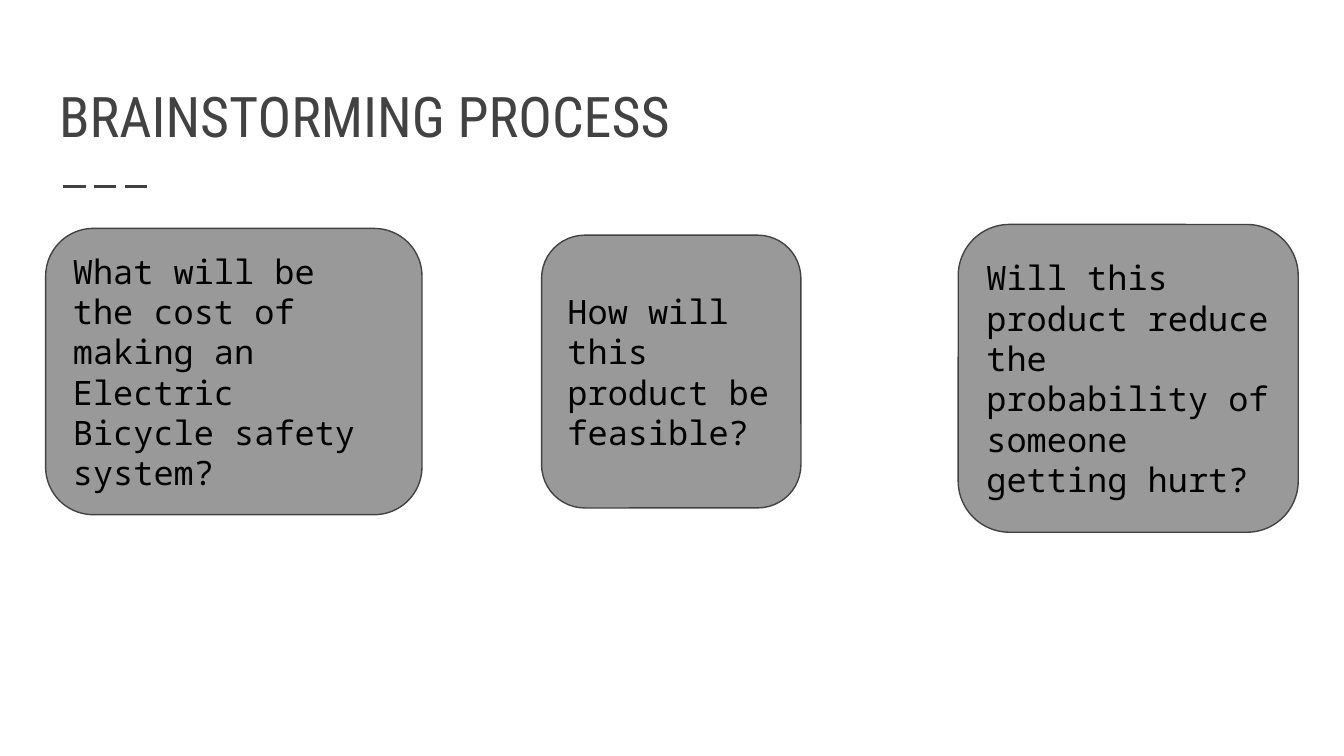
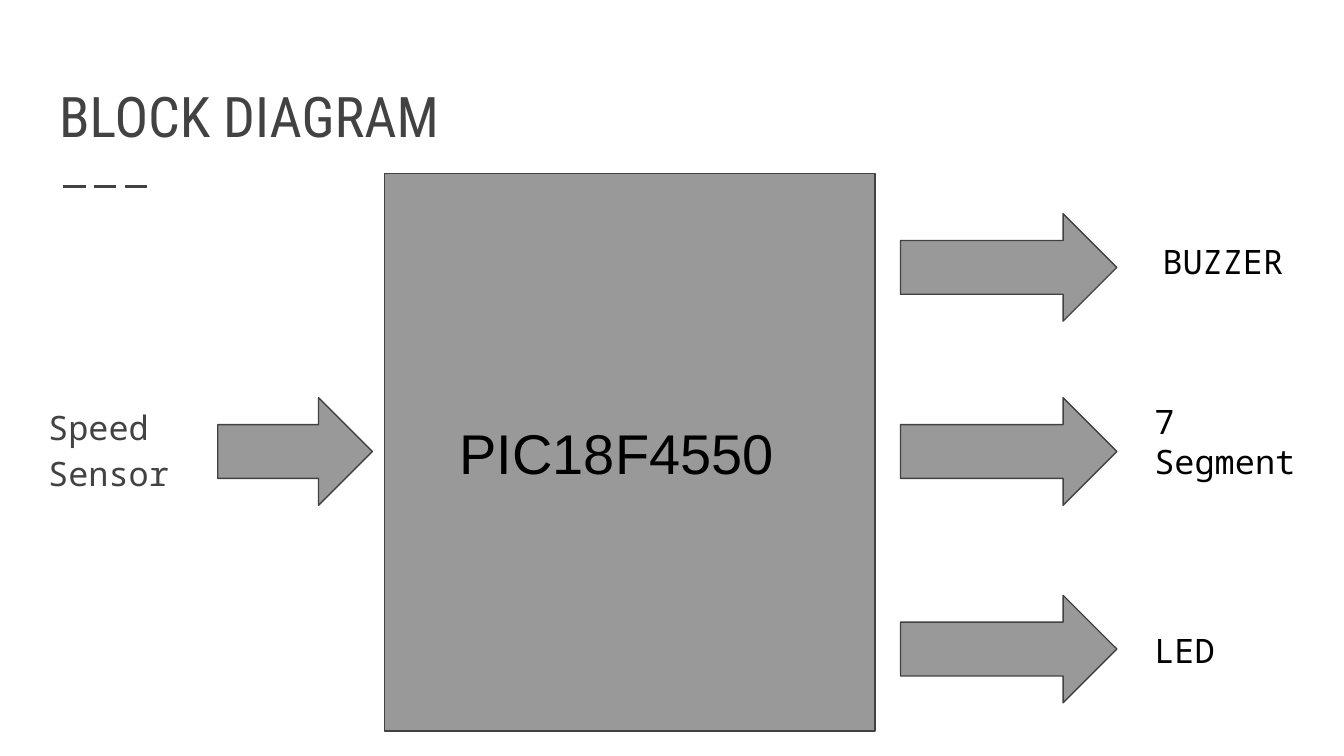
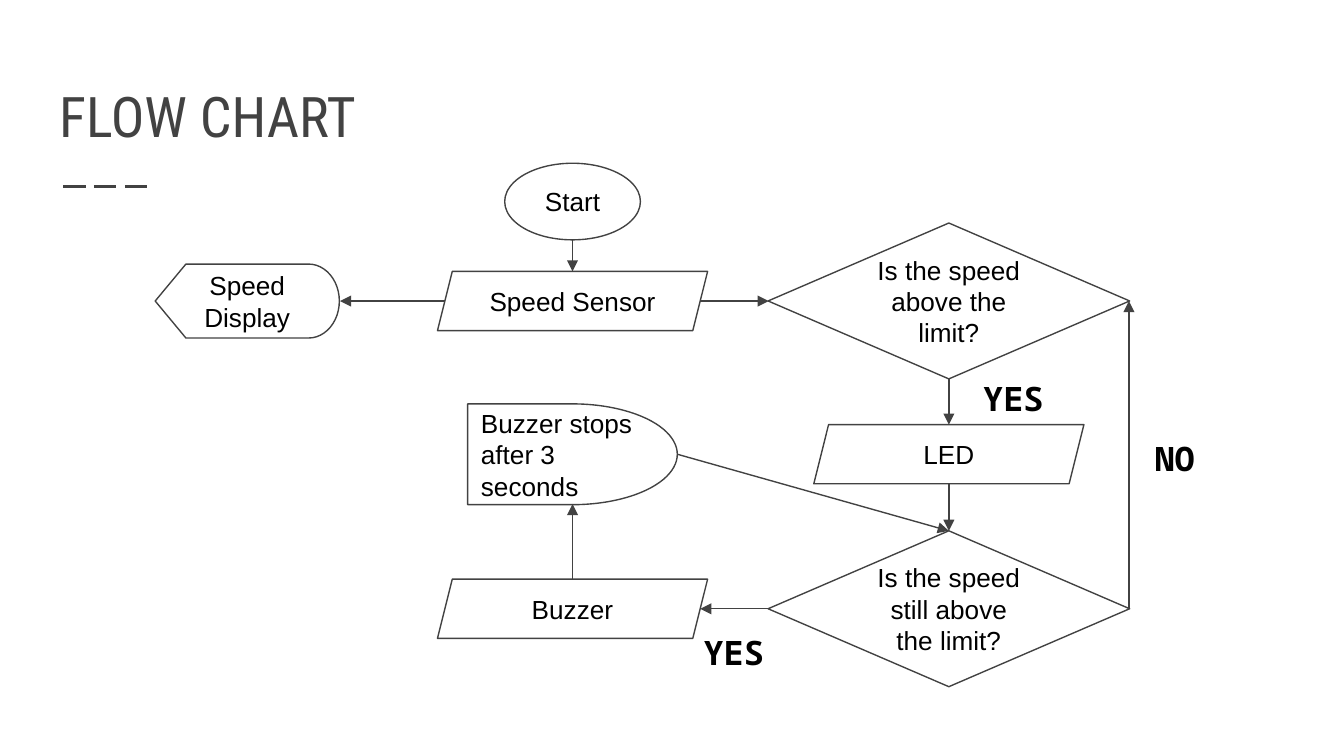
from lxml import etree
from pptx import Presentation
from pptx.dml.color import RGBColor
from pptx.enum.dml import MSO_LINE
from pptx.enum.shapes import MSO_CONNECTOR, MSO_SHAPE
from pptx.enum.text import MSO_ANCHOR, MSO_AUTO_SIZE, PP_ALIGN
from pptx.oxml.ns import qn
from pptx.util import Inches, Pt

COLORS = {"ink": "424242", "gray": "999999", "text": "000000", "paper": "FFFFFF"}
SANS, MONO, HEADING = "Arial", "Noto Sans Mono", "Roboto Condensed"

STRAIGHT = MSO_CONNECTOR.STRAIGHT
LONG_DASH = MSO_LINE.LONG_DASH
TOP, MIDDLE, BOTTOM = MSO_ANCHOR.TOP, MSO_ANCHOR.MIDDLE, MSO_ANCHOR.BOTTOM
LEFT, CENTER = PP_ALIGN.LEFT, PP_ALIGN.CENTER
NO_FIT = MSO_AUTO_SIZE.NONE
ROUNDED, RECT = MSO_SHAPE.ROUNDED_RECTANGLE, MSO_SHAPE.RECTANGLE
RIGHT_ARROW, OVAL = MSO_SHAPE.RIGHT_ARROW, MSO_SHAPE.OVAL
DIAMOND, SLANTED = MSO_SHAPE.DIAMOND, MSO_SHAPE.PARALLELOGRAM
DISPLAY, DELAY = MSO_SHAPE.FLOWCHART_DISPLAY, MSO_SHAPE.FLOWCHART_DELAY


def color(name):
    return RGBColor.from_string(COLORS[name])


def write(shape, text, size, font, ink="text", align=LEFT, anchor=MIDDLE, bold=False):
    tf = shape.text_frame
    tf.word_wrap = True
    tf.auto_size = NO_FIT
    tf.vertical_anchor = anchor
    tf.margin_left = tf.margin_right = tf.margin_top = tf.margin_bottom = Inches(0.1)
    p = tf.paragraphs[0]
    p.alignment = align
    r = p.add_run()
    r.text = text
    r.font.size = Pt(size)
    r.font.name = font
    r.font.bold = bold
    r.font.color.rgb = color(ink)
    return p


def add_line(s, start, end, width=0.75):
    line = s.shapes.add_connector(STRAIGHT, *map(Inches, start + end))
    line.line.color.rgb = color("ink")
    line.line.width = Pt(width)
    etree.SubElement(line._element.spPr, qn("a:effectLst"))
    return line


def add_arrow(s, start, end):
    ln = add_line(s, start, end).line._get_or_add_ln()
    etree.SubElement(ln, qn("a:tailEnd"), type="triangle")


def add_slide(prs, title):
    s = prs.slides.add_slide(prs.slide_layouts[5])
    s.background.fill.solid()
    s.background.fill.fore_color.rgb = color("paper")
    add_line(s, (0.47, 1.39), (1.14, 1.39), 1.5).line.dash_style = LONG_DASH
    box = s.shapes.title
    box.left, box.top, box.width, box.height = map(Inches, (0.34, 0.41, 9.32, 0.8))
    write(box, title, 30, HEADING, "ink", anchor=BOTTOM)
    return s


def add_block(s, kind, left, top, width, height, fill="gray"):
    sp = s.shapes.add_shape(kind, *map(Inches, (left, top, width, height)))
    sp.shadow.inherit = False
    if fill:
        sp.fill.solid()
        sp.fill.fore_color.rgb = color(fill)
    else:
        sp.fill.background()
    sp.line.color.rgb = color("ink")
    sp.line.width = Pt(0.75)
    return sp


def add_node(s, kind, center, size, text, align=CENTER):
    (x, y), (width, height) = center, size
    sp = add_block(s, kind, x - width / 2, y - height / 2, width, height, None)
    write(sp, text, 14, SANS, align=align)


def add_label(s, left, top, width, height, text, ink="text", align=LEFT, bold=False):
    box = s.shapes.add_textbox(*map(Inches, (left, top, width, height)))
    return write(box, text, 18, MONO, ink, align, TOP, bold)


def brainstorming(prs):
    s = add_slide(prs, "BRAINSTORMING PROCESS")
    questions = [
        (0.34, 1.7, 2.8, 2.13, "What will be the cost of making an Electric Bicycle safety system?"),
        (4.03, 1.75, 1.93, 2.03, "How will this product be feasible?"),
        (7.13, 1.67, 2.53, 2.29, "Will this product reduce the probability of someone getting hurt?"),
    ]
    for *place, question in questions:
        write(add_block(s, ROUNDED, *place), question, 18, MONO)


def block_diagram(prs):
    s = add_slide(prs, "BLOCK DIAGRAM")
    p = add_label(s, 0.26, 2.88, 1.27, 0.96, "Speed Sensor", "ink")
    p.line_spacing = 1.15
    p.space_after = Pt(16)
    add_block(s, RIGHT_ARROW, 1.62, 2.96, 1.15, 0.8)

    chip = add_block(s, RECT, 2.86, 1.29, 3.65, 4.15)
    write(chip, "PIC18F4550", 30, SANS)
    chip.text_frame.margin_left = Inches(0.56)

    outputs = [
        (1.59, (8.55, 1.69, 1.15, 0.7), "BUZZER"),
        (2.96, (8.49, 2.88, 1.27, 0.8), "7 Segment"),
        (4.43, (8.49, 4.59, 1.43, 0.96), "LED"),
    ]
    for arrow_top, place, name in outputs:
        add_block(s, RIGHT_ARROW, 6.7, arrow_top, 1.61, 0.8)
        add_label(s, *place, name)


def flow_chart(prs):
    s = add_slide(prs, "FLOW CHART")
    sensor_x, decision_x = 4.26, 7.06
    check_y, led_y, recheck_y = 2.24, 3.38, 4.53
    step, decision = (2.01, 0.44), (2.69, 1.16)

    add_node(s, OVAL, (sensor_x, 1.5), (1.01, 0.57), "Start")
    add_node(s, DISPLAY, (1.84, check_y), (1.37, 0.55), "Speed Display")
    add_node(s, DELAY, (sensor_x, led_y), (1.56, 0.75), "Buzzer stops after 3 seconds", LEFT)
    for x, y, text in [(sensor_x, check_y, "Speed Sensor"),
                       (decision_x, led_y, "LED"),
                       (sensor_x, recheck_y, "Buzzer")]:
        add_node(s, SLANTED, (x, y), step, text)
    for y, text in [(check_y, "Is the speed above the limit?"),
                    (recheck_y, "Is the speed still above the limit?")]:
        add_node(s, DIAMOND, (decision_x, y), decision, text)

    for start, end in [
        ((sensor_x, 1.78), (sensor_x, 2.02)),
        ((3.31, check_y), (2.53, check_y)),
        ((5.21, check_y), (5.72, check_y)),
        ((decision_x, 2.81), (decision_x, 3.16)),
        ((decision_x, 3.6), (decision_x, 3.95)),
        ((5.72, recheck_y), (5.21, recheck_y)),
        ((sensor_x, 4.31), (sensor_x, 3.75)),
        ((5.04, led_y), (decision_x, 3.95)),
        ((8.4, recheck_y), (8.4, check_y)),
    ]:
        add_arrow(s, start, end)

    for left, top, height, answer in [(7.2, 2.71, 0.55, "YES"),
                                      (5.12, 4.6, 0.55, "YES"),
                                      (8.4, 3.16, 0.44, "NO")]:
        add_label(s, left, top, 0.68, height, answer, align=CENTER, bold=True)


def main():
    prs = Presentation()
    prs.slide_width = Inches(10)
    prs.slide_height = prs.slide_width * 9 // 16
    brainstorming(prs)
    block_diagram(prs)
    flow_chart(prs)
    prs.save("out.pptx")


if __name__ == "__main__":
    main()
